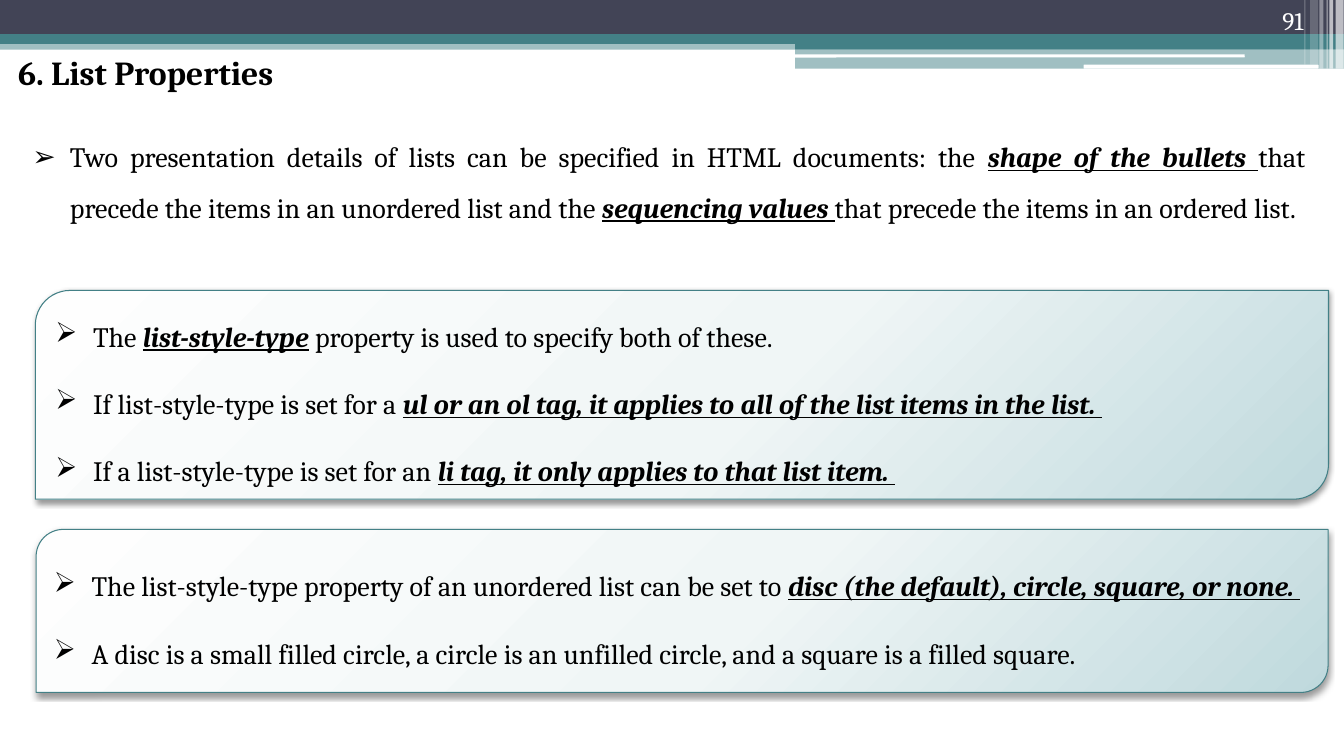
from dataclasses import dataclass

from lxml import etree
from pptx import Presentation
from pptx.dml.color import RGBColor
from pptx.enum.shapes import MSO_SHAPE
from pptx.enum.text import MSO_ANCHOR, MSO_AUTO_SIZE, PP_ALIGN
from pptx.oxml import parse_xml
from pptx.oxml.ns import qn
from pptx.slide import Slide
from pptx.text.text import TextFrame
from pptx.util import Cm, Pt

RECTANGLE = MSO_SHAPE.RECTANGLE
ROUNDED = MSO_SHAPE.ROUNDED_RECTANGLE
DIAGONAL_ROUNDED = MSO_SHAPE.ROUND_2_DIAG_RECTANGLE
LEFT, RIGHT, JUSTIFY = PP_ALIGN.LEFT, PP_ALIGN.RIGHT, PP_ALIGN.JUSTIFY
TOP, MIDDLE, BOTTOM = MSO_ANCHOR.TOP, MSO_ANCHOR.MIDDLE, MSO_ANCHOR.BOTTOM

TEAL = RGBColor(0x43, 0x80, 0x86)
SLATE = RGBColor(0x42, 0x44, 0x56)
WHITE = RGBColor(0xFF, 0xFF, 0xFF)
BLACK = RGBColor(0x00, 0x00, 0x00)
FONT = "Cambria"
DRAWING_NS = 'xmlns:a="http://schemas.openxmlformats.org/drawingml/2006/main"'
PANEL_STOPS = ((0, "FEFEFE"), (55, "F0F6F6"), (100, "BFD9DD"))
SLIDE_WIDTH = 33.87

Paragraphs = tuple[tuple[str, ...], ...]


@dataclass(frozen=True)
class Band:
    left: float
    top: float
    width: float
    height: float
    color: RGBColor
    opacity: int = 100
    outline: MSO_SHAPE = RECTANGLE


@dataclass(frozen=True)
class Panel:
    left: float
    top: float
    width: float
    height: float
    paragraphs: Paragraphs


BANDS = (
    Band(0, 1.02, SLIDE_WIDTH, 0.23, TEAL, 50),
    Band(0, 0, SLIDE_WIDTH, 0.86, SLATE),
    Band(0, 0.86, SLIDE_WIDTH, 0.25, TEAL),
    Band(20.04, 0.99, 13.83, 0.25, TEAL),
    Band(20.04, 1.23, 13.83, 0.5, TEAL, 50),
    Band(20.02, 1.37, 11.35, 0.08, WHITE, outline=ROUNDED),
    Band(27.31, 1.63, 5.92, 0.1, WHITE, outline=ROUNDED),
    Band(33.66, 0, 0.2, 1.73, WHITE, 65),
    Band(33.5, 0, 0.1, 1.73, WHITE, 65),
    Band(33.43, 0, 0.03, 1.73, WHITE, 60),
    Band(33.25, 0, 0.1, 1.73, WHITE, 40),
    Band(33.02, 0, 0.2, 1.63, WHITE, 20),
    Band(32.87, 0, 0.03, 1.63, WHITE, 30),
)

INTRODUCTION: Paragraphs = ((
    "Two presentation details of lists can be specified in HTML documents: the ",
    "shape of the bullets ",
    "that precede the items in an unordered list and the ",
    "sequencing values ",
    "that precede the items in an ordered list. ",
),)

PANELS = (
    Panel(0.89, 7.32, 32.59, 5.26, (
        ("The ", "list-style-type", " property is used to specify both of these. "),
        ("If list-style-type is set for a ",
         "ul or an ol tag, it applies to all of the list items in the list. "),
        ("If a list-style-type is set for an ",
         "li tag, it only applies to that list item. "),
    )),
    Panel(0.91, 13.34, 32.56, 4.11, (
        ("The list-style-type property of an unordered list can be set to ",
         "disc (the default), circle, square, or none. "),
        ("A disc is a small filled circle, a circle is an unfilled circle, "
         "and a square is a filled square.",),
    )),
)


def write_text(frame: TextFrame, paragraphs: Paragraphs, *, size: float = 20,
               color: RGBColor = BLACK, bold: bool = False,
               align: PP_ALIGN = JUSTIFY, anchor: MSO_ANCHOR = TOP,
               line_spacing: float = 1.5, bulleted: bool = True) -> None:
    frame.word_wrap = True
    frame.auto_size = MSO_AUTO_SIZE.NONE
    frame.vertical_anchor = anchor
    for number, pieces in enumerate(paragraphs):
        paragraph = frame.add_paragraph() if number else frame.paragraphs[0]
        paragraph.alignment = align
        paragraph.line_spacing = line_spacing
        paragraph.space_before = Pt(12 if number else 0)
        if bulleted:
            properties = paragraph._p.get_or_add_pPr()
            properties.set("marL", str(Cm(0.95)))
            properties.set("indent", str(-Cm(0.95)))
            bullet_color = etree.SubElement(properties, qn("a:buClr"))
            etree.SubElement(bullet_color, qn("a:srgbClr"), val=str(color))
            etree.SubElement(properties, qn("a:buChar"), char="➢")
        for position, piece in enumerate(pieces):
            emphasised = position % 2 == 1
            run = paragraph.add_run()
            run.text = piece
            run.font.name = FONT
            run.font.size = Pt(size)
            run.font.color.rgb = color
            run.font.bold = bold or emphasised
            run.font.italic = emphasised
            run.font.underline = emphasised


def draw_band(slide: Slide, band: Band) -> None:
    strip = slide.shapes.add_shape(band.outline, Cm(band.left), Cm(band.top),
                                   Cm(band.width), Cm(band.height))
    strip.shadow.inherit = False
    strip.line.fill.background()
    strip.fill.solid()
    strip.fill.fore_color.rgb = band.color
    if band.opacity < 100:
        shade = strip._element.spPr.find(f".//{qn('a:srgbClr')}")
        etree.SubElement(shade, qn("a:alpha"), val=str(band.opacity * 1000))


def draw_panel(slide: Slide, panel: Panel) -> None:
    card = slide.shapes.add_shape(DIAGONAL_ROUNDED, Cm(panel.left), Cm(panel.top),
                                  Cm(panel.width), Cm(panel.height))
    card.line.color.rgb = TEAL
    card.line.width = Pt(0.75)
    card.shadow.inherit = False
    properties = card._element.spPr
    stops = "".join(f'<a:gs pos="{percent * 1000}"><a:srgbClr val="{shade}"/></a:gs>'
                    for percent, shade in PANEL_STOPS)
    properties.find(qn("a:prstGeom")).addnext(parse_xml(
        f'<a:gradFill {DRAWING_NS} rotWithShape="1"><a:gsLst>{stops}</a:gsLst>'
        '<a:path path="circle"><a:fillToRect l="-40000" t="-90000" '
        'r="140000" b="190000"/></a:path></a:gradFill>'))
    properties.find(qn("a:effectLst")).append(parse_xml(
        f'<a:outerShdw {DRAWING_NS} blurRad="{Pt(4.1)}" dist="{Pt(2)}" dir="5400000" '
        'rotWithShape="0"><a:srgbClr val="000000"><a:alpha val="40000"/>'
        '</a:srgbClr></a:outerShdw>'))
    write_text(card.text_frame, panel.paragraphs, anchor=MIDDLE)


def main() -> None:
    presentation = Presentation()
    presentation.slide_width = Cm(SLIDE_WIDTH)
    presentation.slide_height = Cm(19.05)
    slide = presentation.slides.add_slide(presentation.slide_layouts[1])

    for band in BANDS:
        draw_band(slide, band)

    heading = slide.shapes.title
    heading.left, heading.top = Cm(0.2), Cm(1.19)
    heading.width, heading.height = Cm(19.25), Cm(1.27)
    write_text(heading.text_frame, (("6. List Properties",),), size=24, bold=True,
               align=LEFT, line_spacing=1.0, bulleted=False)

    introduction = slide.placeholders[1]
    introduction.left, introduction.top = Cm(0.56), Cm(2.97)
    introduction.width, introduction.height = Cm(32.59), Cm(5.66)
    write_text(introduction.text_frame, INTRODUCTION)

    page_number = slide.shapes.add_textbox(Cm(30.28), Cm(0), Cm(2.82), Cm(1.02))
    write_text(page_number.text_frame, (("91",),), size=18, color=WHITE, align=RIGHT,
               anchor=BOTTOM, line_spacing=1.0, bulleted=False)

    for panel in PANELS:
        draw_panel(slide, panel)

    presentation.save("out.pptx")


if __name__ == "__main__":
    main()
